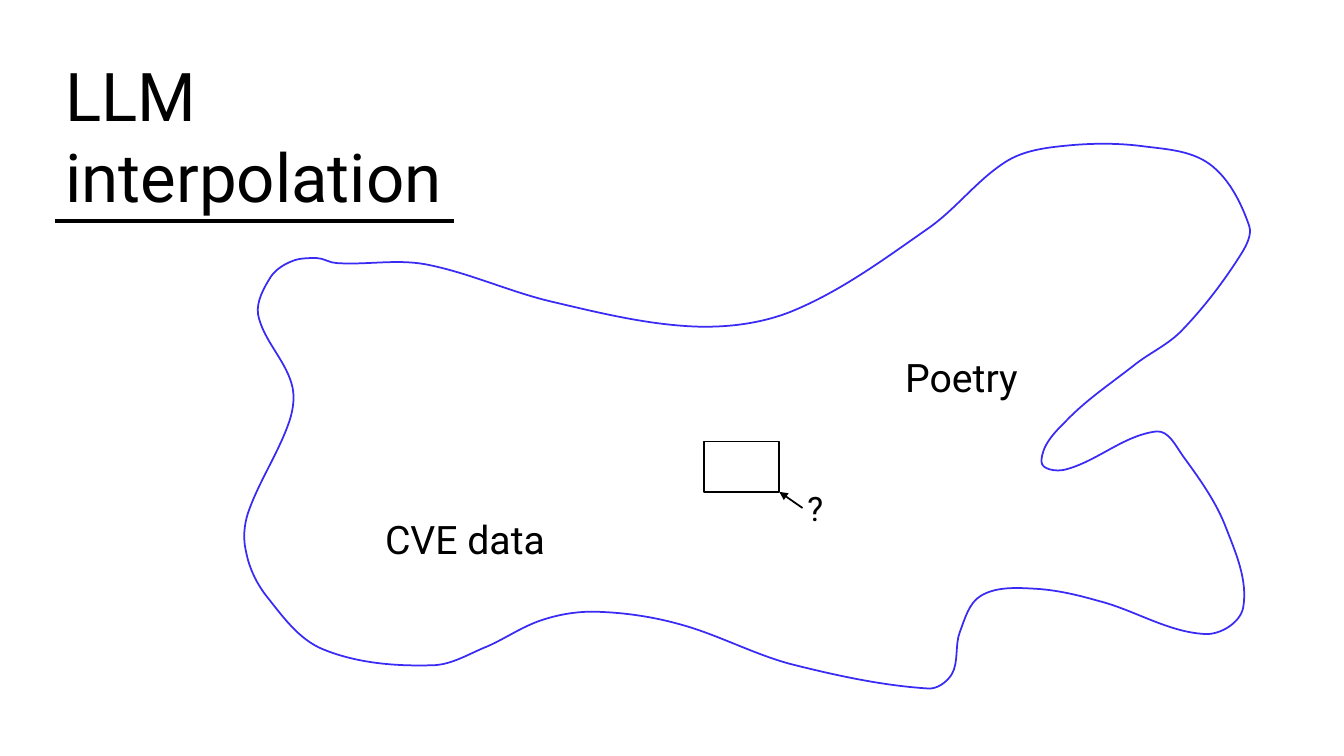
from math import dist
from typing import NamedTuple

from lxml import etree
from pptx import Presentation
from pptx import util as u
from pptx.dml.color import RGBColor
from pptx.enum import shapes, text
from pptx.oxml.ns import qn

PX = 9144
FONT = "Roboto"
BLACK = "000000"
BLUE = "392BF3"


class Point(NamedTuple):
    x: int
    y: int


class Label(NamedTuple):
    words: str
    left: int
    top: int
    width: int
    height: int
    size: int
    anchor: text.MSO_ANCHOR = text.MSO_ANCHOR.TOP


class Stroke(NamedTuple):
    start: Point
    end: Point
    weight: float
    arrow: bool = False


TITLE = Label("LLM interpolation", 55, 47, 409, 172, 48, text.MSO_ANCHOR.BOTTOM)
LABELS = [
    Label("?", 791, 479, 66, 50, 24),
    Label("Poetry", 888, 346, 137, 57, 28),
    Label("CVE data", 372, 506, 205, 57, 28),
]
UNDERLINE = Stroke(Point(55, 219), Point(450, 219), 3)
POINTER = Stroke(Point(796, 504), Point(773, 488), 1.25, True)
REGION = [
    Point(*pair)
    for pair in (
        (334, 261), (314, 256), (290, 259), (269, 274), (256, 312),
        (289, 380), (287, 418), (246, 509), (244, 547), (264, 591),
        (320, 644), (428, 660), (484, 641), (538, 615), (595, 607),
        (673, 619), (785, 659), (920, 683), (944, 669), (952, 627),
        (973, 591), (1025, 584), (1089, 596), (1195, 629), (1233, 603),
        (1215, 521), (1173, 452), (1147, 428), (1056, 466), (1033, 458),
        (1057, 418), (1124, 363), (1173, 327), (1231, 252), (1239, 224),
        (1200, 163), (1133, 145), (1063, 144), (1000, 159), (920, 227),
        (785, 309), (690, 324), (546, 299), (421, 262),
    )
]


def emu(*lengths: int) -> list[int]:
    return [length * PX for length in lengths]


def color(value: str) -> RGBColor:
    return RGBColor.from_string(value)


def style_line(line, value: str, weight: float) -> None:
    line.color.rgb = color(value)
    line.width = u.Pt(weight)


def add_label(page, label: Label) -> None:
    box = page.shapes.add_textbox(
        *emu(label.left, label.top, label.width, label.height)
    )
    frame = box.text_frame
    frame_format = {
        "word_wrap": True,
        "auto_size": text.MSO_AUTO_SIZE.SHAPE_TO_FIT_TEXT,
        "vertical_anchor": label.anchor,
    }
    for name, value in frame_format.items():
        setattr(frame, name, value)
    span = frame.paragraphs[0].add_run()
    span.text = label.words
    for name, value in {"name": FONT, "size": u.Pt(label.size)}.items():
        setattr(span.font, name, value)
    span.font.color.rgb = color(BLACK)


def add_stroke(page, stroke: Stroke) -> None:
    connector = page.shapes.add_connector(
        shapes.MSO_CONNECTOR.STRAIGHT, *emu(*stroke.start, *stroke.end)
    )
    style_line(connector.line, BLACK, stroke.weight)
    properties = connector.element.spPr
    etree.SubElement(properties, qn("a:effectLst"))
    if stroke.arrow:
        outline = properties.find(qn("a:ln"))
        etree.SubElement(outline, qn("a:tailEnd"), type="triangle")


def style_outline(shape, value: str) -> None:
    shape.shadow.inherit = False
    shape.fill.background()
    style_line(shape.line, value, 1.25)


def handle(knot: Point, before: Point, after: Point, length: float) -> Point:
    reach = length / 3 / dist(before, after)
    return Point(
        round(knot.x + (after.x - before.x) * reach),
        round(knot.y + (after.y - before.y) * reach),
    )


def smooth(knots: list[Point]) -> list[Point]:
    points = []
    count = len(knots)
    for index, start in enumerate(knots):
        before = knots[index - 1]
        end = knots[(index + 1) % count]
        after = knots[(index + 2) % count]
        length = dist(start, end)
        points += [
            handle(start, before, end, length),
            handle(end, after, start, length),
            end,
        ]
    return points


def add_region(page) -> None:
    builder = page.shapes.build_freeform(*REGION[0], scale=PX)
    builder.add_line_segments(smooth(REGION), close=True)
    region = builder.convert_to_shape()
    style_outline(region, BLUE)
    outline = next(region.element.iter(qn("a:path")))
    segments = outline.findall(qn("a:lnTo"))
    for first in range(0, len(segments), 3):
        curve = etree.Element(qn("a:cubicBezTo"))
        segments[first].addprevious(curve)
        for segment in segments[first:first + 3]:
            curve.append(segment[0])
            outline.remove(segment)


def add_unknown(page) -> None:
    unknown = page.shapes.add_shape(
        shapes.MSO_SHAPE.RECTANGLE, *emu(698, 438, 75, 50)
    )
    style_outline(unknown, BLACK)


def main() -> None:
    deck = Presentation()
    deck.slide_width, deck.slide_height = emu(1333, 750)
    page = deck.slides.add_slide(deck.slide_layouts[6])
    add_stroke(page, UNDERLINE)
    add_label(page, TITLE)
    add_region(page)
    add_unknown(page)
    add_stroke(page, POINTER)
    for label in LABELS:
        add_label(page, label)
    deck.save("out.pptx")


if __name__ == "__main__":
    main()
